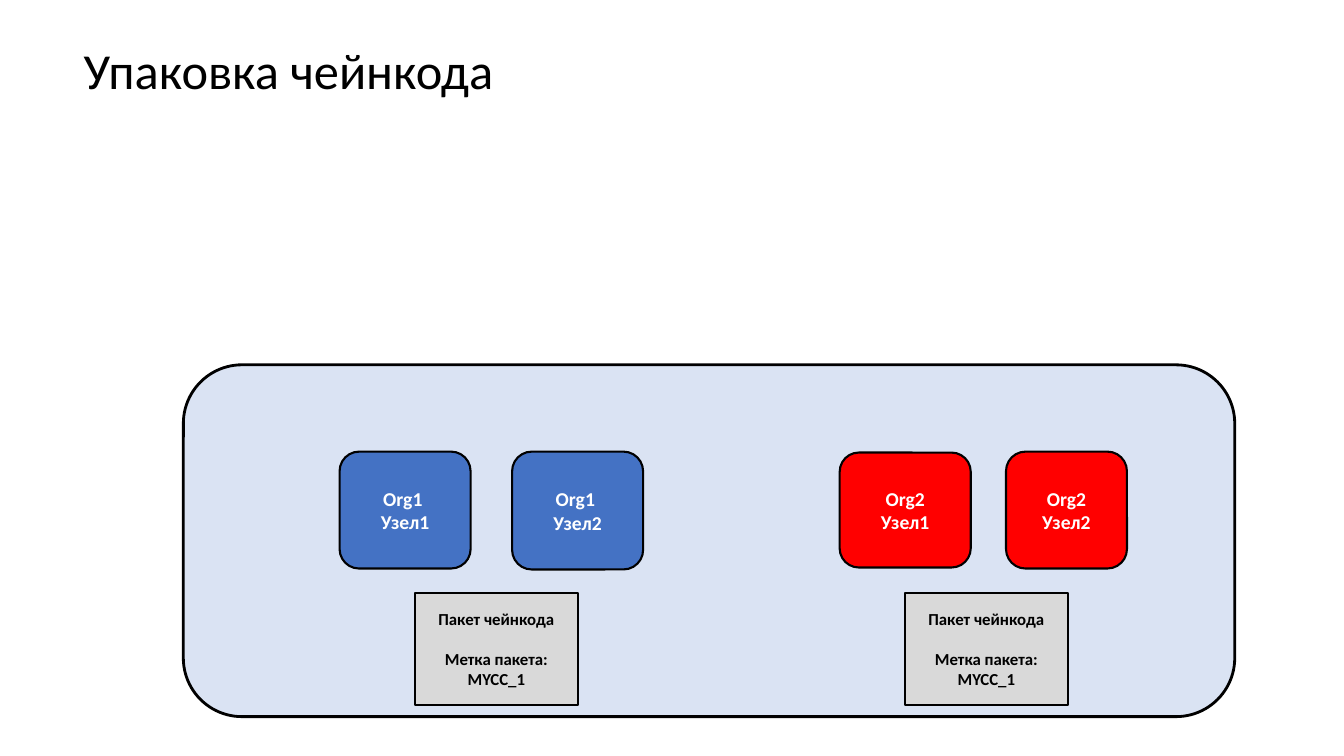
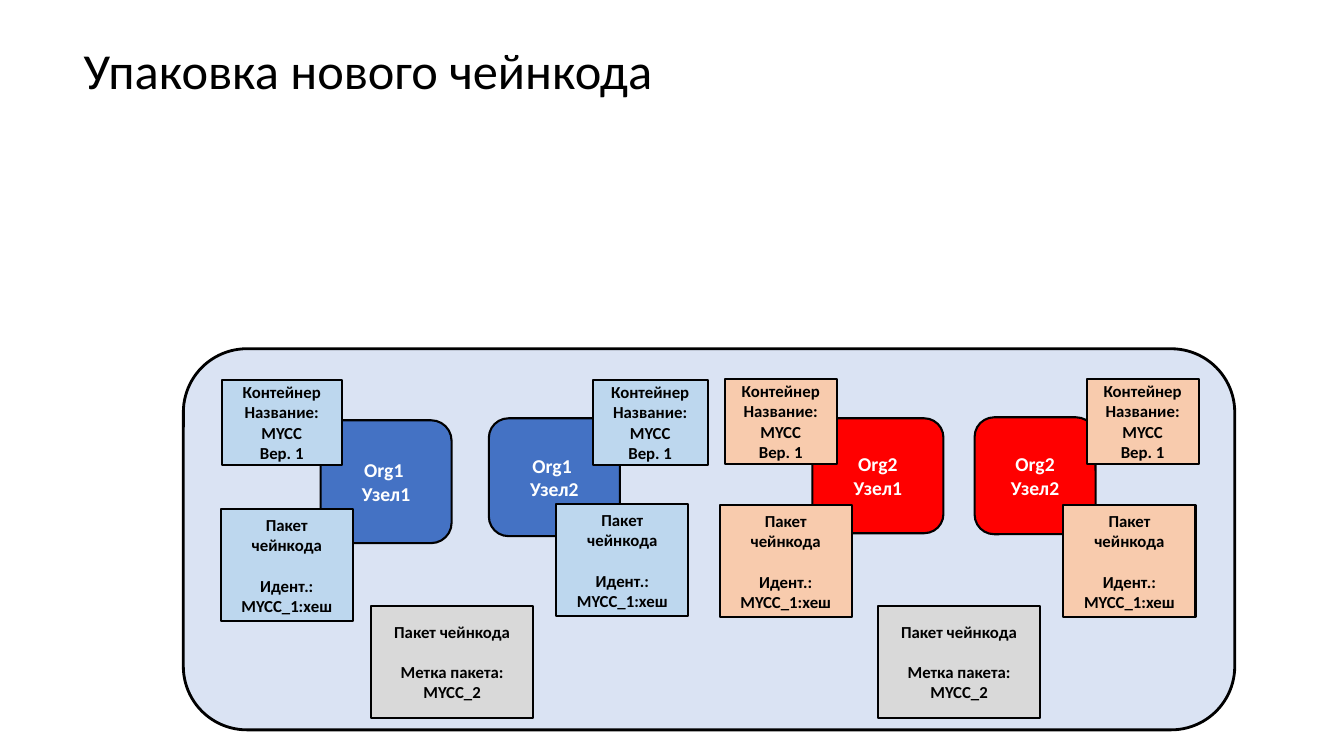
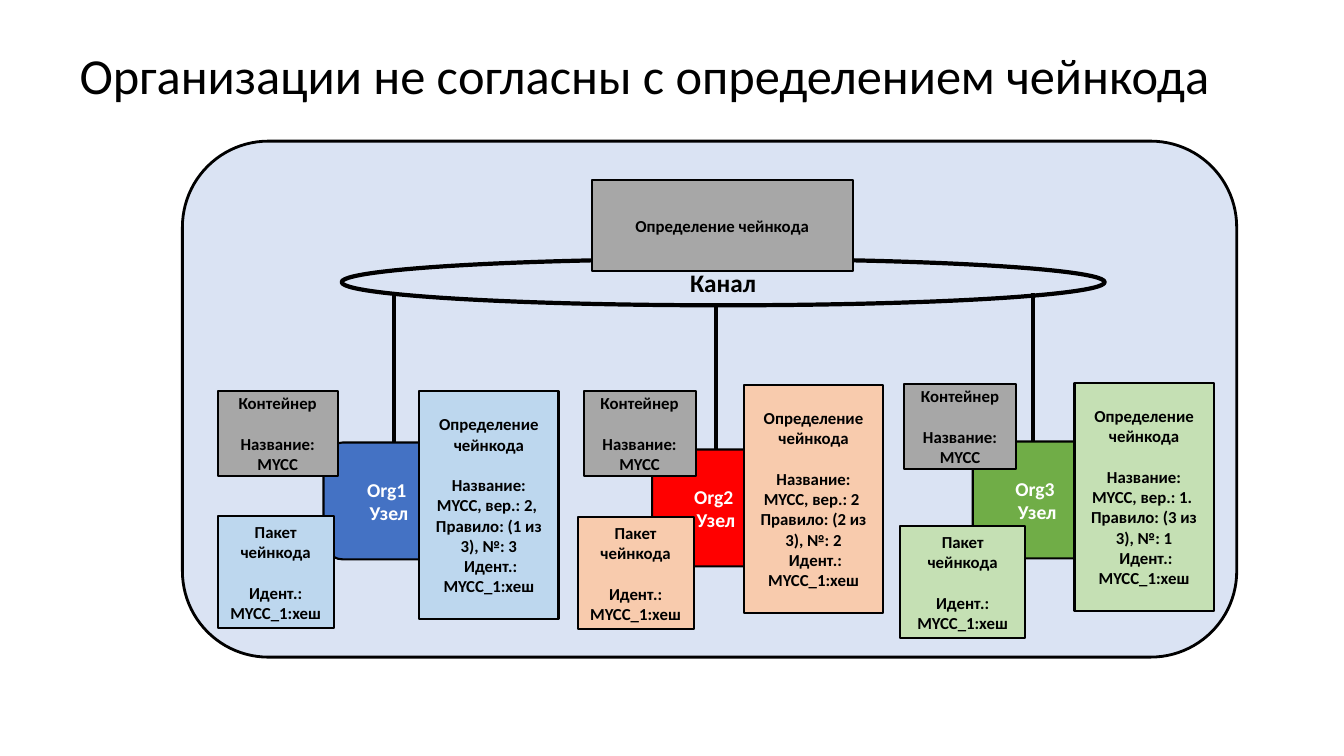
from dataclasses import dataclass, field
from typing import Any, NamedTuple

from lxml import etree
from pptx import Presentation
from pptx.dml.color import RGBColor
from pptx.enum.shapes import MSO_CONNECTOR, MSO_SHAPE
from pptx.enum.text import MSO_ANCHOR, PP_ALIGN
from pptx.oxml.ns import qn
from pptx.util import Pt

ROUND = MSO_SHAPE.ROUNDED_RECTANGLE
OVAL = MSO_SHAPE.OVAL
STRAIGHT = MSO_CONNECTOR.STRAIGHT
MIDDLE = MSO_ANCHOR.MIDDLE
CENTER = PP_ALIGN.CENTER
LEFT = PP_ALIGN.LEFT


class Tone(NamedTuple):
    node: str
    tint: str


@dataclass(frozen=True)
class Theme:
    font: str = "Calibri"
    ink: str = "000000"
    light: str = "FFFFFF"
    panel: str = "DAE3F3"
    pack: str = "D9D9D9"
    gray: str = "A7A7A7"
    blue: Tone = Tone("4472C4", "BDD7EE")
    red: Tone = Tone("FF0000", "F8CBAD")
    green: Tone = Tone("70AD47", "C5E0B4")
    title: float = 36
    ring: float = 18
    node: float = 14
    card: float = 12
    gap: float = 14.65
    thin: float = 1.5
    edge: float = 2
    thick: float = 3


THEME = Theme()


class Box(NamedTuple):
    left: float
    top: float
    width: float
    height: float


class Style(NamedTuple):
    size: float = THEME.card
    ink: str = THEME.ink
    line: float = THEME.thin
    form: Any = ROUND
    square: bool = False


PANEL = Style(line=THEME.edge)
NODE = Style(THEME.node, THEME.light)
CARD = Style(square=True)
RING = Style(THEME.ring, line=THEME.thick, form=OVAL)


@dataclass(frozen=True)
class Block:
    box: Box
    fill: str | None
    style: Style
    lines: tuple[str, ...] = ()
    gap: bool = False


@dataclass(frozen=True)
class Wire:
    left: float
    top: float
    end: float


@dataclass(frozen=True)
class Page:
    title: str
    spot: tuple[float, float]
    panel: Box
    blocks: list[Block] = field(default_factory=list)
    wires: list[Wire] = field(default_factory=list)


def assign(item: Any, values: dict[str, Any]) -> None:
    for name, value in values.items():
        setattr(item, name, value)


def write(frame: Any, lines: tuple[str, ...], size: float, ink: str, bold: bool,
          form: dict[str, Any], gap: bool = False) -> None:
    assign(frame, {"word_wrap": True, "vertical_anchor": MIDDLE})
    for index, line in enumerate(lines):
        para = frame.add_paragraph() if index else frame.paragraphs[0]
        assign(para, form)
        if gap and index == 1:
            para.space_before = Pt(THEME.gap)
        run = para.add_run()
        run.text = line
        assign(run.font, {"name": THEME.font, "size": Pt(size), "bold": bold})
        run.font.color.rgb = RGBColor.from_string(ink)


def draw_block(slide: Any, block: Block) -> None:
    style = block.style
    shape = slide.shapes.add_shape(style.form, *map(Pt, block.box))
    shape.shadow.inherit = False
    if style.square:
        shape.adjustments[0] = 0
    if block.fill:
        shape.fill.solid()
        shape.fill.fore_color.rgb = RGBColor.from_string(block.fill)
    else:
        shape.fill.background()
    shape.line.color.rgb = RGBColor.from_string(THEME.ink)
    shape.line.width = Pt(style.line)
    write(shape.text_frame, block.lines, style.size, style.ink, True,
          {"alignment": CENTER}, block.gap)


def draw_wire(slide: Any, wire: Wire) -> None:
    ends = (wire.left, wire.top, wire.left, wire.end)
    link = slide.shapes.add_connector(STRAIGHT, *map(Pt, ends))
    link.line.color.rgb = RGBColor.from_string(THEME.ink)
    link.line.width = Pt(THEME.thick)
    etree.SubElement(link._element.spPr, qn("a:effectLst"))


def draw_title(slide: Any, page: Page) -> None:
    area = slide.shapes.add_textbox(*map(Pt, (*page.spot, 828, 68.4)))
    inset = Pt(3.6)
    sides = ("left", "top", "right", "bottom")
    assign(area.text_frame, {f"margin_{side}": inset for side in sides})
    write(area.text_frame, (page.title,), THEME.title, THEME.ink, False,
          {"alignment": LEFT, "line_spacing": 0.9})


def draw_page(deck: Any, page: Page) -> None:
    slide = deck.slides.add_slide(deck.slide_layouts[6])
    draw_block(slide, Block(page.panel, THEME.panel, PANEL))
    draw_title(slide, page)
    for wire in page.wires:
        draw_wire(slide, wire)
    for block in page.blocks:
        draw_block(slide, block)


def node(box: Box, tone: Tone, *lines: str) -> Block:
    return Block(box, tone.node, NODE, lines)


def label(left: float, top: float, mark: str) -> Block:
    return Block(Box(left, top, 116, 80), THEME.pack, CARD,
                 ("Пакет чейнкода", f"Метка пакета: {mark}"), True)


def pack(left: float, top: float, width: float, tone: Tone) -> Block:
    return Block(Box(left, top, width, 80), tone.tint, CARD,
                 ("Пакет чейнкода", "Идент.: MYCC_1:хеш"), True)


def holder(left: float, top: float, width: float, fill: str, *more: str) -> Block:
    return Block(Box(left, top, width, 60.5), fill, CARD,
                 ("Контейнер", "Название: MYCC", *more), not more)


def terms(left: float, top: float, tone: Tone, version: str, rule: str) -> Block:
    return Block(Box(left, top, 99.4, 162.7), tone.tint, CARD,
                 ("Определение чейнкода", f"Название: MYCC, вер.: {version}",
                  f"Правило: {rule}", " Идент.: MYCC_1:хеш"), True)


BLUE, RED, GREEN = THEME.blue, THEME.red, THEME.green
PEERS = (
    (BLUE, ("Org1 ", "Узел1")),
    (BLUE, ("Org1 ", "Узел2")),
    (RED, ("Org2", "Узел1")),
    (RED, ("Org2 Узел2",)),
)


def peers(boxes: tuple[Box, ...]) -> list[Block]:
    return [node(box, tone, *lines) for box, (tone, lines) in zip(boxes, PEERS)]


FIRST = Page(
    "Упаковка чейнкода", (56.2, 18), Box(131, 260.6, 751, 251.3),
    peers((Box(242.6, 322.6, 93.6, 83.5), Box(365.8, 322.6, 93.6, 84.2),
           Box(599.8, 323.3, 93.6, 82.1), Box(718.6, 322.6, 86.4, 83.5)))
    + [label(left, 423.4, "MYCC_1") for left in (296.6, 646.6)],
)

PACKS = ((157.7, 363.6), (397.4, 360), (514.1, 360.7), (759.6, 360.7))
HOLDERS = ((158.4, 271.4, 85.7), (423.4, 271.4, 82.1),
           (517.7, 270.7, 80), (776.2, 270.7, 80))

SECOND = Page(
    "Упаковка нового чейнкода", (56.2, 18), Box(131, 249.1, 751, 272.2),
    peers((Box(229, 300.2, 93.6, 87.8), Box(349.2, 298.8, 93.6, 84.2),
           Box(580.3, 298.8, 93.6, 82.1), Box(696.2, 298.1, 86.4, 83.5)))
    + [pack(*spot, 94.3, tone) for spot, (tone, _) in zip(PACKS, PEERS)]
    + [holder(*spot, tone.tint, "Вер. 1") for spot, (tone, _) in zip(HOLDERS, PEERS)]
    + [label(left, 432.7, "MYCC_2") for left in (265, 627.1)],
)

THIRD = Page(
    "Организации не согласны с определением чейнкода", (53.3, 21.6),
    Box(130.3, 100.8, 753.1, 368.6),
    [
        Block(Box(244.1, 185, 545, 33.1), None, RING, ("Канал",)),
        Block(Box(422.6, 128.9, 186.5, 64.8), THEME.gray, CARD,
              ("Определение чейнкода",)),
        node(Box(231.1, 316.1, 93.6, 83.5), BLUE, "Org1 ", "Узел"),
        node(Box(465.8, 321.1, 91.4, 83.5), RED, "Org2 ", "Узел"),
        node(Box(694.8, 315.4, 92.2, 83.5), GREEN, "Org3 ", "Узел"),
        pack(155.5, 368.6, 82.8, BLUE),
        pack(412.6, 369.4, 82.8, RED),
        pack(643, 375.8, 89.3, GREEN),
        terms(299.5, 279.4, BLUE, "2, ", "(1 из 3), №: 3"),
        terms(531.4, 275, RED, "2 ", "(2 из 3), №: 2"),
        terms(767.5, 273.6, GREEN, "1. ", "(3 из 3), №: 1"),
        holder(155.5, 279.4, 85.7, THEME.gray),
        holder(416.9, 279.4, 80, THEME.gray),
        holder(645.8, 274.3, 80, THEME.gray),
    ],
    [Wire(281.5, 209.5, 316.1), Wire(511.2, 218.9, 321.1), Wire(738, 209.5, 316.1)],
)


def main() -> None:
    deck = Presentation()
    assign(deck, {"slide_width": Pt(960), "slide_height": Pt(540)})
    for page in (FIRST, SECOND, THIRD):
        draw_page(deck, page)
    deck.save("out.pptx")


main()
